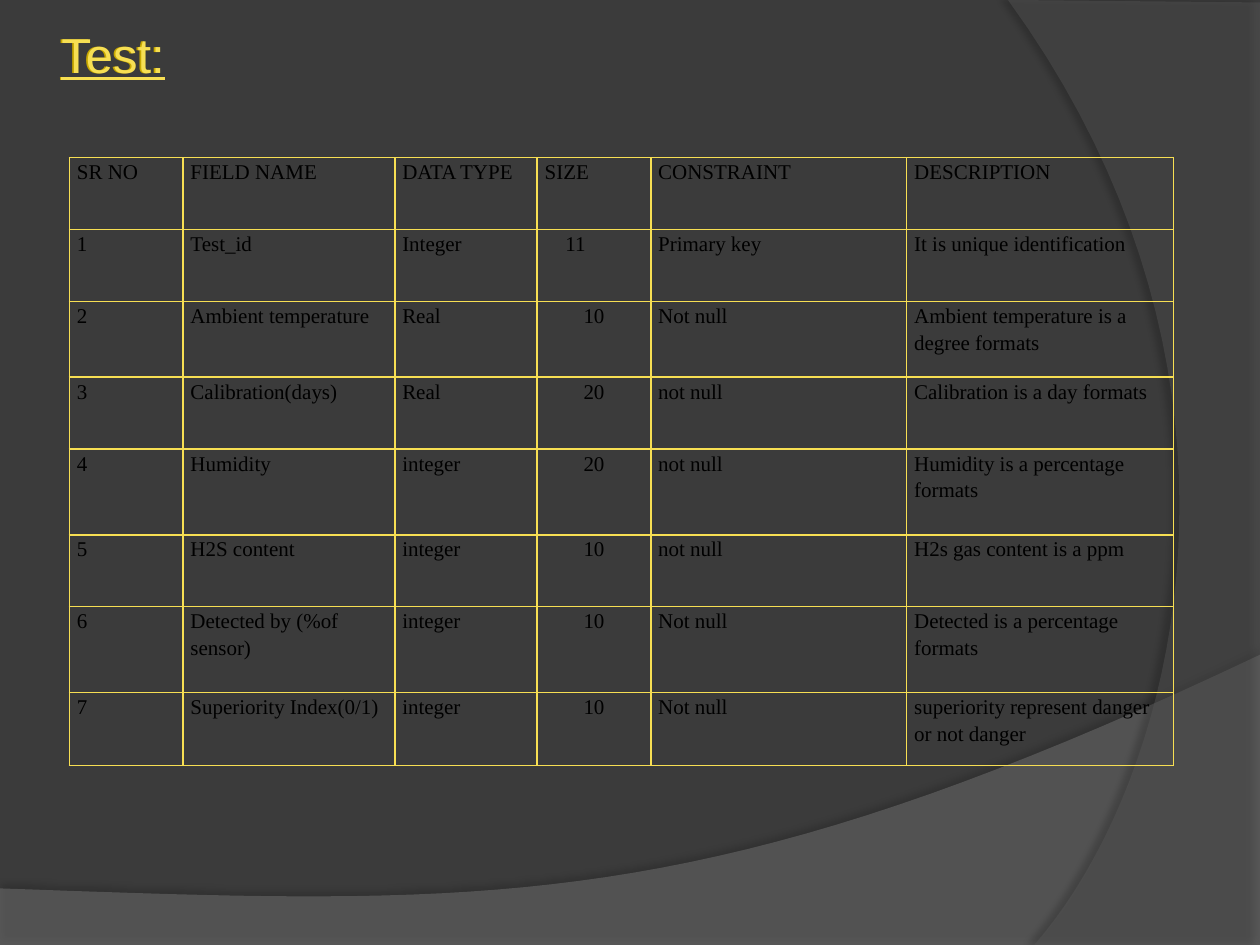
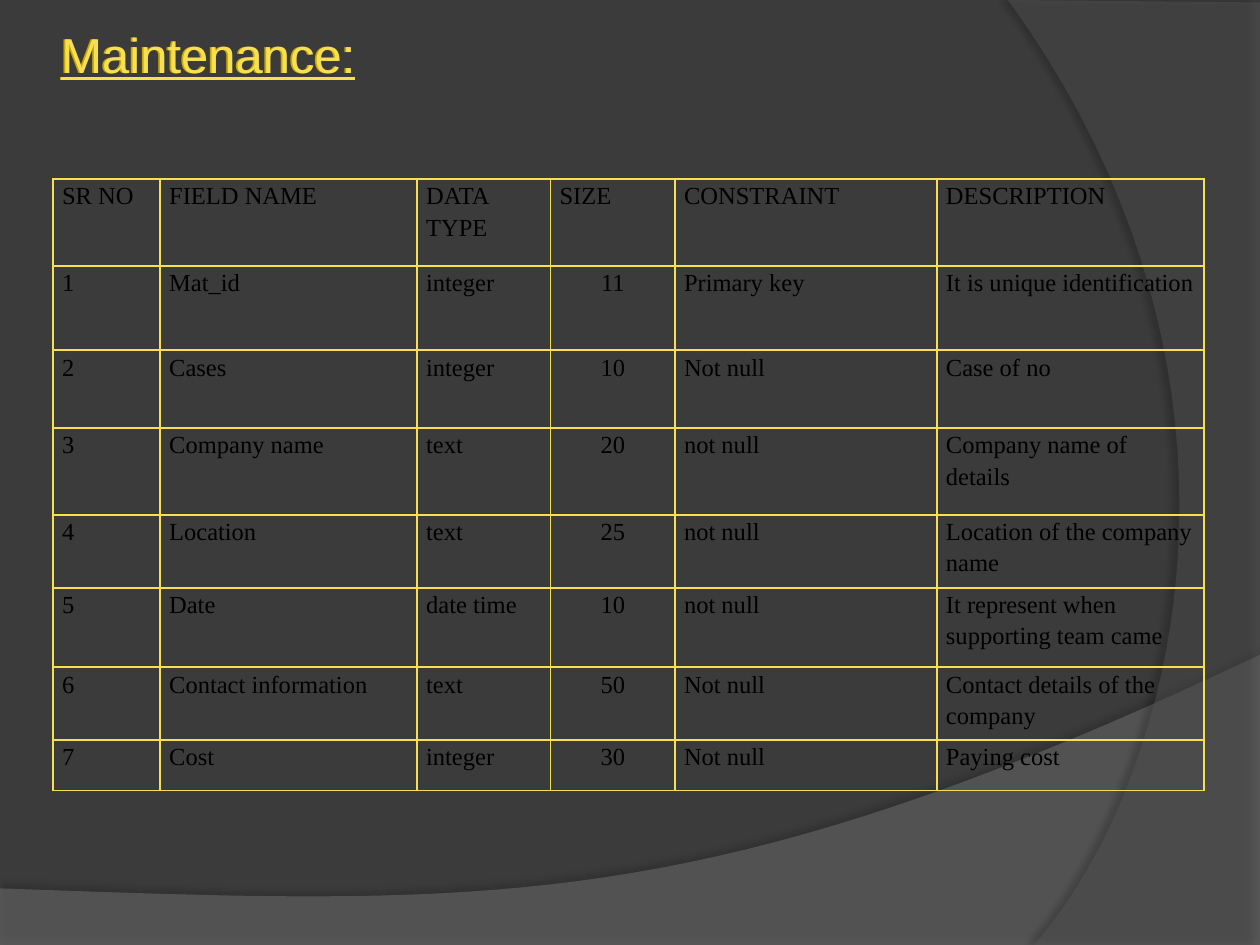
import lxml.etree
import pptx
import pptx.dml.color
import pptx.enum.text
import pptx.oxml.ns
import pptx.util

Cm = pptx.util.Cm
Pt = pptx.util.Pt
qn = pptx.oxml.ns.qn
ALIGN = pptx.enum.text.PP_ALIGN

COLORS = {
    "background": "3B3B3B",
    "wave": "7B7B7B",
    "arc": "5A5A5A",
    "shadow": "000000",
    "accent": "F7DF53",
    "title shadow": "C8A800",
    "text": "000000",
}
TITLE_FONT = {"name": "Arial", "size": Pt(28), "underline": True}
HEADINGS = ("SR NO", "FIELD NAME", "DATA TYPE", "SIZE", "CONSTRAINT", "DESCRIPTION")
SIZE_COLUMN = HEADINGS.index("SIZE")

TEST = {
    "title": "Test:",
    "left": 1.4, "top": 3.18, "inset": 0.15, "size": 12,
    "columns": (2.29, 4.27, 2.87, 2.29, 5.16, 5.38),
    "heights": (1.45, 1.45, 1.52, 1.45, 1.73, 1.45, 1.73, 1.47),
    "indents": {1: 0.42},  # this row's size is indented, not centred
    "fields": (
        ("Test_id", "Integer", "11", "Primary key", "It is unique identification"),
        ("Ambient temperature", "Real", "10", "Not null",
         "Ambient temperature is a degree formats"),
        ("Calibration(days)", "Real", "20", "not null", "Calibration is a day formats"),
        ("Humidity", "integer", "20", "not null", "Humidity is a percentage formats"),
        ("H2S content", "integer", "10", "not null", "H2s gas content is a ppm"),
        ("Detected by (%of sensor)", "integer", "10", "Not null",
         "Detected is a percentage formats"),
        ("Superiority Index(0/1)", "integer", "10", "Not null",
         "superiority represent danger or not danger"),
    ),
}
MAINTENANCE = {
    "title": "Maintenance:",
    "left": 1.07, "top": 3.61, "inset": 0.18, "size": 14,
    "columns": (2.16, 5.18, 2.69, 2.51, 5.28, 5.38),
    "heights": (1.75, 1.7, 1.57, 1.75, 1.47, 1.6, 1.47, 1.02),
    "indents": {},
    "fields": (
        ("Mat_id", "integer", "11", "Primary key", "It is unique identification"),
        ("Cases", "integer", "10", "Not null", "Case of no"),
        ("Company name", "text", "20", "not null", "Company name of details"),
        ("Location", "text", "25", "not null", "Location of the company name"),
        ("Date", "date time", "10", "not null", "It represent when supporting team came"),
        ("Contact information", "text", "50", "Not null", "Contact details of the company"),
        ("Cost", "integer", "30", "Not null", "Paying cost"),
    ),
}


def rgb(name):
    return pptx.dml.color.RGBColor.from_string(COLORS[name])


def apply(target, values):
    for name, value in values.items():
        setattr(target, name, value)


def add_xml(parent, tag, **attributes):
    return lxml.etree.SubElement(
        parent, qn(tag), {name: str(value) for name, value in attributes.items()})


def curve(start, first, second, end, steps=40):
    """Points along a cubic Bezier curve, without its start."""
    points = []
    for step in range(1, steps + 1):
        t = step / steps
        weights = ((1 - t) ** 3, 3 * t * (1 - t) ** 2, 3 * t * t * (1 - t), t ** 3)
        points.append(tuple(
            sum(weight * value for weight, value in zip(weights, values))
            for values in zip(start, first, second, end)))
    return points


class SlideBuilder:
    """Holds the deck, its style and the current page."""

    def __init__(self):
        self.deck = pptx.Presentation()
        apply(self.deck, {"slide_width": Cm(25.4), "slide_height": Cm(19.05)})
        self.page = None

    def new_page(self):
        self.page = self.deck.slides.add_slide(self.deck.slide_layouts[6])
        fill = self.page.background.fill
        fill.solid()
        fill.fore_color.rgb = rgb("background")
        wave = [(0, 17.91), (0, 19.05), (25.4, 19.05), (25.4, 13.2)]
        wave += curve(wave[-1], (14.2, 18.52), (9.93, 18.26), wave[0])
        arc = [(25.4, 0.05), (25.4, 19.05), (20.85, 19.05)]
        arc += curve(arc[-1], (23.75, 15.72), (25.86, 7.62), (20.32, 0))
        self.outline(wave, "wave", 45, shadow_opacity=35, distance=3.5, angle=270)
        self.outline(arc, "arc", 40, shadow_opacity=45, distance=4, angle=180)

    def shadow(self, shape, color, opacity, blur, distance, angle):
        shape.shadow.inherit = False
        effects = shape._element.spPr.find(qn("a:effectLst"))
        outer = add_xml(effects, "a:outerShdw", blurRad=Pt(blur), dist=Pt(distance),
                        dir=angle * 60000, algn="ctr", rotWithShape=0)
        paint = add_xml(outer, "a:srgbClr", val=COLORS[color])
        add_xml(paint, "a:alpha", val=opacity * 1000)

    def outline(self, points, color, opacity, shadow_opacity, distance, angle):
        corners = [(Cm(x), Cm(y)) for x, y in points]
        builder = self.page.shapes.build_freeform(*corners[0])
        builder.add_line_segments(corners[1:], close=True)
        shape = builder.convert_to_shape()
        shape.fill.solid()
        shape.fill.fore_color.rgb = rgb(color)
        paint = shape._element.spPr.find(qn("a:solidFill"))[0]
        add_xml(paint, "a:alpha", val=opacity * 1000)
        shape.line.fill.background()
        self.shadow(shape, "shadow", shadow_opacity, 4, distance, angle)

    def add_text(self, frame, text, color, font, **paragraph):
        para = frame.paragraphs[0]
        apply(para, paragraph)
        span = para.add_run()
        span.text = text
        apply(span.font, font)
        span.font.color.rgb = rgb(color)

    def title(self, text):
        box = self.page.shapes.add_textbox(Cm(0.99), Cm(0.36), Cm(13.28), Cm(1.45))
        apply(box.text_frame, {
            "word_wrap": True,
            "auto_size": pptx.enum.text.MSO_AUTO_SIZE.SHAPE_TO_FIT_TEXT,
        })
        self.add_text(box.text_frame, text, "accent", TITLE_FONT, alignment=ALIGN.JUSTIFY)
        self.shadow(box, "title shadow", 100, 0, 1, 180)

    def borders(self, cell):
        properties = cell._tc.get_or_add_tcPr()
        for position, side in enumerate("LRTB"):
            line = add_xml(properties, f"a:ln{side}", w=Pt(1))
            add_xml(add_xml(line, "a:solidFill"), "a:srgbClr", val=COLORS["accent"])
            properties.insert(position, line)

    def field_table(self, data):
        rows = [HEADINGS]
        rows += [(str(number), *field) for number, field in enumerate(data["fields"], 1)]
        table = self.page.shapes.add_table(
            len(rows), len(HEADINGS), Cm(data["left"]), Cm(data["top"]),
            Cm(sum(data["columns"])), Cm(sum(data["heights"]))).table
        apply(table, {"first_row": False, "horz_banding": False})
        for column, width in zip(table.columns, data["columns"]):
            column.width = Cm(width)
        for row, height in zip(table.rows, data["heights"]):
            row.height = Cm(height)
        font = {"name": "Times New Roman", "size": Pt(data["size"])}
        for row_index, row in enumerate(rows):
            for column_index, text in enumerate(row):
                cell = table.cell(row_index, column_index)
                is_size = column_index == SIZE_COLUMN and row_index > 0
                indent = data["indents"].get(row_index, 0) if is_size else 0
                centred = is_size and not indent
                apply(cell, {
                    "margin_left": Cm(data["inset"] + indent),
                    "margin_right": Cm(data["inset"]),
                    "margin_top": 0,
                    "margin_bottom": 0,
                })
                cell.fill.background()
                self.borders(cell)
                self.add_text(cell.text_frame, text, "text", font, line_spacing=1.15,
                              alignment=ALIGN.CENTER if centred else ALIGN.LEFT)


def main():
    builder = SlideBuilder()
    for data in (TEST, MAINTENANCE):
        builder.new_page()
        builder.title(data["title"])
        builder.field_table(data)
    builder.deck.save("out.pptx")


if __name__ == "__main__":
    main()
